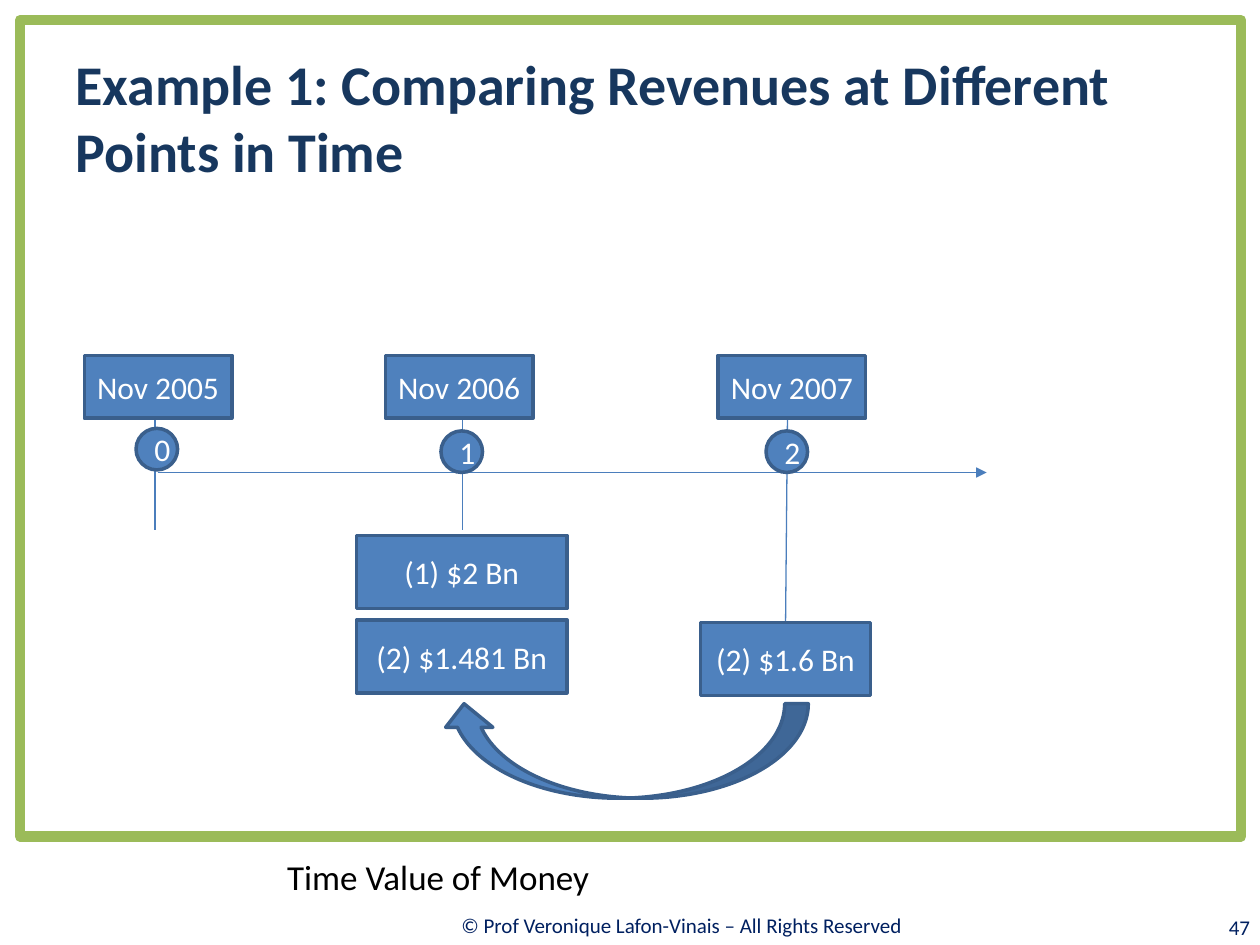
from pptx import Presentation
from pptx.dml.color import RGBColor
from pptx.enum.shapes import MSO_CONNECTOR, MSO_SHAPE as SHAPE
from pptx.enum.text import MSO_ANCHOR, PP_ALIGN as ALIGN
from pptx.oxml.ns import qn
from pptx.util import Inches, Pt
from lxml.etree import SubElement

COLORS = {
    "frame": "9BBB59",
    "title": "17375E",
    "footer": "002060",
    "topic": "000000",
    "fill": "4F81BD",
    "border": "3A5F8C",
    "line": "4B7EBC",
    "label": "FFFFFF",
}


def rgb(name):
    return RGBColor.from_string(COLORS[name])


class SlideBuilder:
    """Holds the font and the slide being drawn."""

    font = "Calibri"

    def __init__(self, slide):
        self.slide = slide

    def set_text(self, sp, text, color, size=18, align=ALIGN.CENTER, bold=False):
        tf = sp.text_frame
        tf.word_wrap = True
        tf.vertical_anchor = MSO_ANCHOR.MIDDLE
        p = tf.paragraphs[0]
        p.alignment = align
        r = p.add_run()
        r.text = text
        formats = {"name": self.font, "size": Pt(size), "bold": bold}
        for key, value in formats.items():
            setattr(r.font, key, value)
        r.font.color.rgb = rgb(color)

    def text(self, box, text, color, **style):
        sp = self.slide.shapes.add_textbox(*map(Inches, box))
        self.set_text(sp, text, color, **style)

    def shape(self, kind, box, text=None, fill="fill", border="border", width=2):
        sp = self.slide.shapes.add_shape(kind, *map(Inches, box))
        sp.shadow.inherit = False
        if fill:
            sp.fill.solid()
            sp.fill.fore_color.rgb = rgb(fill)
        else:
            sp.fill.background()
        sp.line.color.rgb = rgb(border)
        sp.line.width = Pt(width)
        if text:
            self.set_text(sp, text, "label")
        return sp

    def line(self, start, end, arrow=False):
        cxn = self.slide.shapes.add_connector(
            MSO_CONNECTOR.STRAIGHT, *map(Inches, (*start, *end)))
        cxn.line.color.rgb = rgb("line")
        cxn.line.width = Pt(0.75)
        sp_pr = cxn._element.spPr
        if arrow:
            SubElement(sp_pr.find(qn("a:ln")), qn("a:tailEnd"), type="triangle")
        SubElement(sp_pr, qn("a:effectLst"))
        return cxn


def main():
    prs = Presentation()
    prs.slide_width, prs.slide_height = Inches(10), Inches(7.5)
    s = SlideBuilder(prs.slides.add_slide(prs.slide_layouts[6]))

    s.text((2.19, 7.15, 6.48, 0.39),
           "© Prof Veronique Lafon-Vinais – All Rights Reserved ", "footer", size=12)
    s.shape(SHAPE.RECTANGLE, (0.16, 0.16, 9.69, 6.48),
            fill=None, border="frame", width=6)
    s.text((0.5, 0.3, 9, 1.25),
           "Example 1: Comparing Revenues at Different Points in Time",
           "title", size=32, align=ALIGN.LEFT, bold=True)
    s.text((9.01, 7.2, 1.01, 0.32), "47", "footer", size=12, align=ALIGN.RIGHT)
    s.text((2.18, 6.72, 7.82, 0.47), "Time Value of Money", "topic",
           size=20, align=ALIGN.LEFT)

    # Time axis, with a tick, a date and a period number for each year
    s.line((1.25, 3.75), (7.83, 3.75), arrow=True)
    ticks = [s.line((x, 3.29), (x, bottom))
             for x, bottom in ((1.23, 4.21), (3.67, 4.21), (6.25, 4.94))]
    periods = [("Nov 2005", 0.67, 1.08, 3.4),
               ("Nov 2006", 3.06, 3.5, 3.42),
               ("Nov 2007", 5.7, 6.08, 3.42)]
    for number, (date, date_x, dot_x, dot_y) in enumerate(periods):
        s.shape(SHAPE.RECTANGLE, (date_x, 2.82, 1.17, 0.5), date)
        s.shape(SHAPE.OVAL, (dot_x, dot_y, 0.33, 0.33), str(number))

    # Revenues, and the second one discounted back to 2006
    s.shape(SHAPE.RECTANGLE, (2.83, 4.25, 1.67, 0.58), "(1) $2 Bn")
    s.shape(SHAPE.RECTANGLE, (2.83, 4.92, 1.67, 0.58), "(2) $1.481 Bn")
    future = s.shape(SHAPE.RECTANGLE, (5.56, 4.94, 1.35, 0.58), "(2) $1.6 Bn")
    ticks[-1].end_connect(future, 0)
    discount = s.shape(SHAPE.CURVED_LEFT_ARROW, (4.58, 4.5, 0.75, 2.92))
    discount.rotation = 90

    prs.save("out.pptx")


if __name__ == "__main__":
    main()
